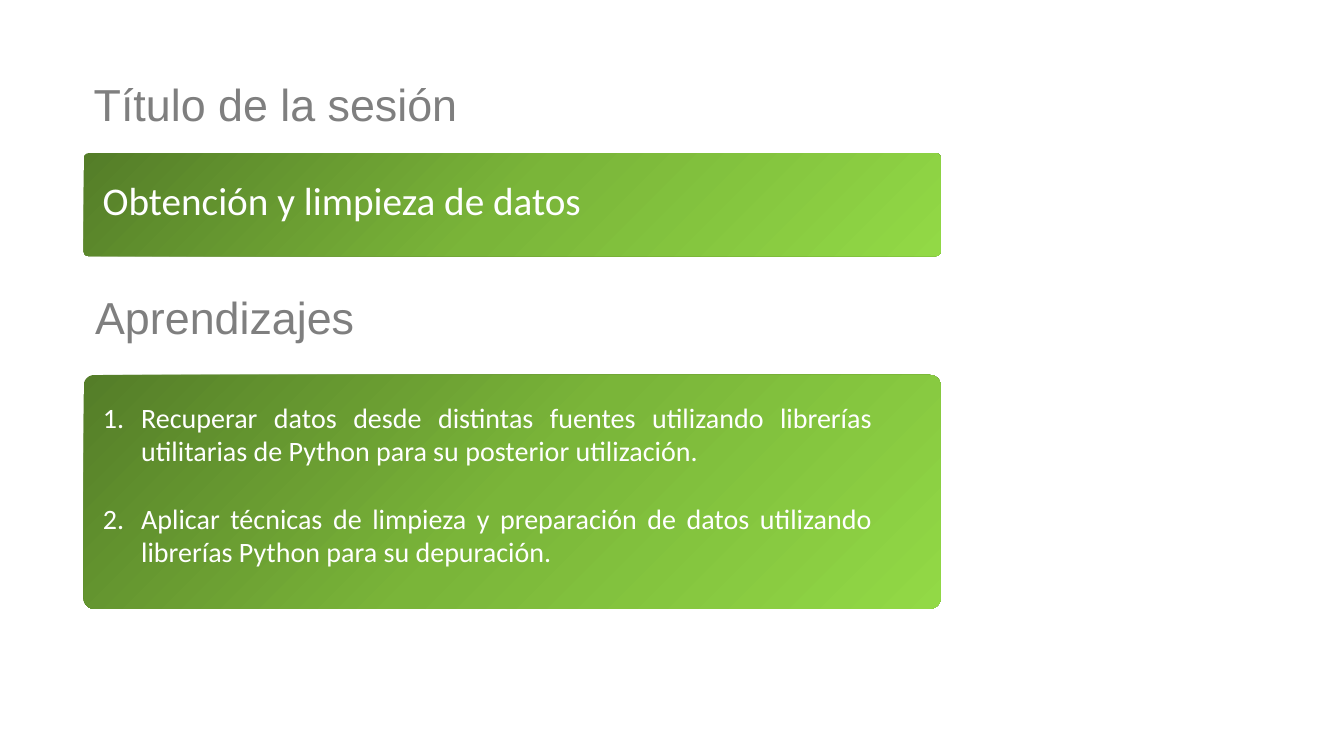
from copy import deepcopy

from lxml.etree import SubElement
from pptx import Presentation
from pptx.dml.color import RGBColor
from pptx.enum.shapes import MSO_SHAPE
from pptx.enum.text import MSO_ANCHOR, MSO_AUTO_SIZE, PP_ALIGN
from pptx.oxml.ns import qn
from pptx.util import Inches, Pt

COLORS = {
    "heading": "7F7F7F",
    "text": "FFFFFF",
    "dark": "547D28",
    "middle": "7AB539",
    "light": "92D946",
}
GRADIENT = [(0, "dark"), (0.5, "middle"), (1, "light")]
HEADING = {"name": "Arial", "size": Pt(32), "bold": False}
SESSION = {"name": "Calibri", "size": Pt(28)}
LEARNING = {"name": "Calibri", "size": Pt(20)}
LEARNINGS = [
    "Recuperar datos desde distintas fuentes utilizando librerías "
    "utilitarias de Python para su posterior utilización.",
    "Aplicar técnicas de limpieza y preparación de datos utilizando "
    "librerías Python para su depuración.",
]


def set_attributes(target, values):
    for name, value in values.items():
        setattr(target, name, value)


def place(shape, left, top, width, height):
    box = {"left": left, "top": top, "width": width, "height": height}
    set_attributes(shape, {name: Inches(value) for name, value in box.items()})


def add_panel(s, top, height):
    panel = s.shapes.add_shape(
        MSO_SHAPE.ROUNDED_RECTANGLE,
        Inches(0.83), Inches(top), Inches(8.5), Inches(height),
    )
    panel.adjustments[0] = 0.045
    panel.shadow.inherit = False
    panel.line.fill.background()
    panel.fill.gradient()
    panel.fill.gradient_angle = 315
    stops = panel.element.spPr.find(qn("a:gradFill")).find(qn("a:gsLst"))
    stops.append(deepcopy(stops[-1]))
    for stop, (position, color) in zip(panel.fill.gradient_stops, GRADIENT):
        stop.position = position
        stop.color.rgb = RGBColor.from_string(COLORS[color])


def add_run(p, text, style, color):
    r = p.add_run()
    r.text = text
    set_attributes(r.font, style)
    r.font.color.rgb = RGBColor.from_string(COLORS[color])


def write_line(shape, text, style, color, align):
    tf = shape.text_frame
    set_attributes(tf, {
        "word_wrap": True,
        "auto_size": MSO_AUTO_SIZE.NONE,
        "vertical_anchor": MSO_ANCHOR.MIDDLE,
    })
    p = tf.paragraphs[0]
    set_attributes(p, {"alignment": align, "line_spacing": 0.9})
    add_run(p, text, style, color)


def number_paragraph(p):
    pPr = p._p.get_or_add_pPr()
    pPr.set("marL", str(Inches(0.38)))
    pPr.set("indent", str(Inches(-0.38)))
    color = SubElement(pPr, qn("a:buClr"))
    SubElement(color, qn("a:srgbClr"), val=COLORS["text"])
    SubElement(pPr, qn("a:buFont"), typeface="+mj-lt")
    SubElement(pPr, qn("a:buAutoNum"), type="arabicPeriod")


def write_numbered_list(shape, items):
    tf = shape.text_frame
    set_attributes(tf, {
        "word_wrap": True,
        "auto_size": MSO_AUTO_SIZE.NONE,
        "vertical_anchor": MSO_ANCHOR.TOP,
    })
    for i, item in enumerate(items):
        p = tf.add_paragraph() if i else tf.paragraphs[0]
        number_paragraph(p)
        set_attributes(p, {
            "alignment": PP_ALIGN.JUSTIFY,
            "space_before": Pt(24 if i else 0),
        })
        add_run(p, item, LEARNING, "text")


def add_textbox(s, left, top, width, height):
    return s.shapes.add_textbox(
        Inches(left), Inches(top), Inches(width), Inches(height)
    )


def main():
    prs = Presentation()
    prs.slide_width, prs.slide_height = Inches(13.33), Inches(7.5)
    s = prs.slides.add_slide(prs.slide_layouts[1])
    title, body = s.placeholders

    add_panel(s, 3.72, 2.32)
    add_panel(s, 1.52, 1.02)

    place(title, -0.16, 0.51, 5.79, 1.1)
    write_line(title, "Título de la sesión", HEADING, "heading", PP_ALIGN.CENTER)

    session = add_textbox(s, 0.92, 1.6, 7.92, 0.82)
    write_line(session, "Obtención y limpieza de datos", SESSION, "text", PP_ALIGN.LEFT)

    subheading = add_textbox(s, -0.16, 2.62, 4.78, 1.1)
    write_line(subheading, "Aprendizajes", HEADING, "heading", PP_ALIGN.CENTER)

    place(body, 0.92, 3.92, 7.83, 1.78)
    write_numbered_list(body, LEARNINGS)
    for placeholder in (title, body):
        placeholder.element.getparent().append(placeholder.element)

    prs.save("out.pptx")


if __name__ == "__main__":
    main()
